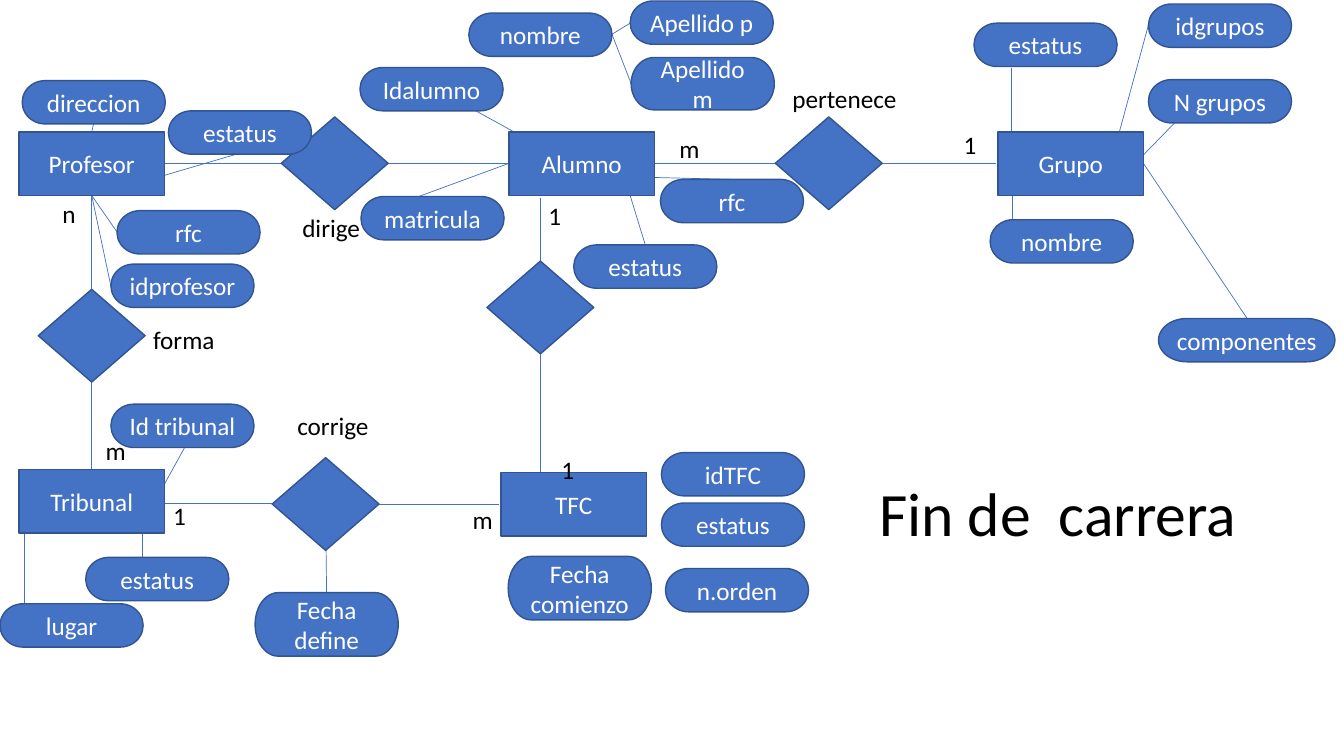
import pptx
import pptx.util
import pptx.dml.color
import pptx.enum.shapes
import pptx.enum.text
import pptx.oxml.ns
import lxml.etree

Inches = pptx.util.Inches
Kind = pptx.enum.shapes.MSO_SHAPE
Align = pptx.enum.text.PP_ALIGN
Anchor = pptx.enum.text.MSO_ANCHOR
Fit = pptx.enum.text.MSO_AUTO_SIZE
HUES = {"fill": "4472C4", "edge": "325491", "light": "FFFFFF", "dark": "000000"}


def hue(name):
    return pptx.dml.color.RGBColor.from_string(HUES[name])


def write(shape, text, size=18, color="dark", align=Align.LEFT,
          anchor=Anchor.TOP, fit=Fit.NONE, space=None):
    frame = shape.text_frame
    frame.word_wrap = True
    frame.auto_size = fit
    frame.vertical_anchor = anchor
    par = frame.paragraphs[0]
    par.alignment = align
    if space:
        par.line_spacing = space
    run = par.add_run()
    run.text = text
    run.font.name = "Calibri"
    run.font.size = pptx.util.Pt(size)
    run.font.color.rgb = hue(color)


def node(kind, text, *box):
    shape = slide.shapes.add_shape(kind, *map(Inches, box))
    shape.shadow.inherit = False
    shape.fill.solid()
    shape.fill.fore_color.rgb = hue("fill")
    shape.line.color.rgb = hue("edge")
    shape.line.width = pptx.util.Pt(1)
    if text:
        write(shape, text, color="light", align=Align.CENTER, anchor=Anchor.MIDDLE)


deck = pptx.Presentation()
deck.slide_width, deck.slide_height = Inches(13.33), Inches(7.5)
slide = deck.slides.add_slide(deck.slide_layouts[5])

# Title
title = slide.shapes.title
title.left, title.top, title.width, title.height = map(Inches, (8.62, 4.4, 4.33, 1.45))
write(title, "Fin de  carrera", size=44, anchor=Anchor.MIDDLE, space=0.9)

# Lines, drawn first so that the nodes cover their ends
links = [
    # Between entities and relations
    (1.63, 1.62, 2.82, 1.62), (3.85, 1.62, 5.04, 1.62),
    (6.5, 1.62, 7.69, 1.62), (8.69, 1.62, 9.88, 1.62),
    (0.91, 1.94, 0.91, 2.89), (0.91, 3.72, 0.91, 4.66),
    (1.57, 4.99, 2.76, 4.99), (3.76, 5, 4.95, 5),
    (5.36, 1.96, 5.36, 2.69), (5.36, 3.46, 5.36, 4.91),
    # Profesor
    (2.38, 1.52, 1.56, 1.76), (0.93, 1.22, 0.91, 1.31),
    (1.16, 2.3, 0.91, 1.94), (1.1, 2.84, 0.91, 1.94),
    # Tribunal and corrige
    (0.24, 5.05, 0.24, 5.99), (1.41, 4.7, 1.41, 5.64),
    (1.87, 4.37, 1.44, 5.15), (3.23, 5.11, 3.24, 5.93),
    # Alumno
    (5.1, 1.31, 4.72, 1.1), (5.05, 1.62, 3.58, 2.16),
    (6.46, 1.76, 7.26, 1.78), (6.25, 1.94, 6.4, 2.43),
    (6.07, 0.34, 6.26, 0.83), (6.07, 0.34, 6.25, 0.23),
    # Grupo
    (10.03, 0.67, 10.03, 1.4), (10.04, 1.57, 10.04, 2.31),
    (11.39, 0.25, 11.08, 1.39), (11.65, 1.22, 11.24, 1.64),
    (11.34, 1.62, 12.37, 3.16),
]
for ends in links:
    link = slide.shapes.add_connector(
        pptx.enum.shapes.MSO_CONNECTOR.STRAIGHT, *map(Inches, ends))
    link.line.color.rgb = hue("fill")
    link.line.width = pptx.util.Pt(0.5)
    lxml.etree.SubElement(link._element.spPr, pptx.oxml.ns.qn("a:effectLst"))

# Entities
for text, x, y in [("Profesor", 0.19, 1.31), ("Alumno", 5.05, 1.31),
                   ("Grupo", 9.9, 1.31), ("Tribunal", 0.19, 4.66),
                   ("TFC", 4.97, 4.69)]:
    node(Kind.RECTANGLE, text, x, y, 1.44, 0.63)

# Relations
for x, y in [(2.79, 1.16), (7.69, 1.16), (0.38, 2.87), (2.7, 4.54), (4.83, 2.59)]:
    node(Kind.DIAMOND, "", x, y, 1.06, 0.92)

# Attributes: text, left, top, then width and height where they differ
traits = [
    # Profesor
    ("direccion", 0.22, 0.8), ("estatus", 1.67, 1.1),
    ("rfc", 1.16, 2.09), ("idprofesor", 1.1, 2.62),
    # Tribunal and corrige
    ("Id tribunal", 1.1, 4.01), ("estatus", 0.85, 5.53),
    ("lugar", 0, 5.99), ("Fecha define", 2.53, 5.88, 1.42, 0.63),
    # Alumno
    ("Idalumno", 3.57, 0.67), ("matricula", 3.58, 1.95),
    ("rfc", 6.55, 1.78), ("estatus", 5.69, 2.43), ("nombre", 4.65, 0.13),
    ("Apellido m", 6.26, 0.57, 1.42, 0.52), ("Apellido p", 6.25, 0.01),
    # TFC
    ("idTFC", 6.56, 4.49), ("estatus", 6.56, 4.99), ("n.orden", 6.6, 5.64),
    ("Fecha comienzo", 5.04, 5.52, 1.42, 0.63),
    # Grupo
    ("estatus", 9.66, 0.23), ("idgrupos", 11.39, 0.04),
    ("N grupos", 11.39, 0.79), ("nombre", 9.82, 2.18),
    ("componentes", 11.49, 3.16, 1.75, 0.43),
]
for text, x, y, *size in traits:
    node(Kind.FLOWCHART_TERMINATOR, text, x, y, *(size or (1.42, 0.43)))

# Relation names and cardinalities
labels = [
    ("dirige", 2.9, 2.06, 0.83), ("pertenece", 7.76, 0.78, 1.42),
    ("corrige", 2.85, 4.02, 1.09), ("forma", 1.42, 3.17, 0.83),
    ("m", 4.59, 4.95, 0.5), ("1", 1.62, 4.91, 0.5), ("m", 0.95, 4.27, 0.5),
    ("n", 0.52, 1.92, 0.5), ("1", 5.34, 1.94, 0.5), ("1", 5.47, 4.46, 0.5),
    ("m", 6.64, 1.27, 0.5), ("1", 9.46, 1.23, 0.5),
]
for text, x, y, wide in labels:
    label = slide.shapes.add_textbox(*map(Inches, (x, y, wide, 0.4)))
    write(label, text, fit=Fit.SHAPE_TO_FIT_TEXT)

deck.save("out.pptx")
